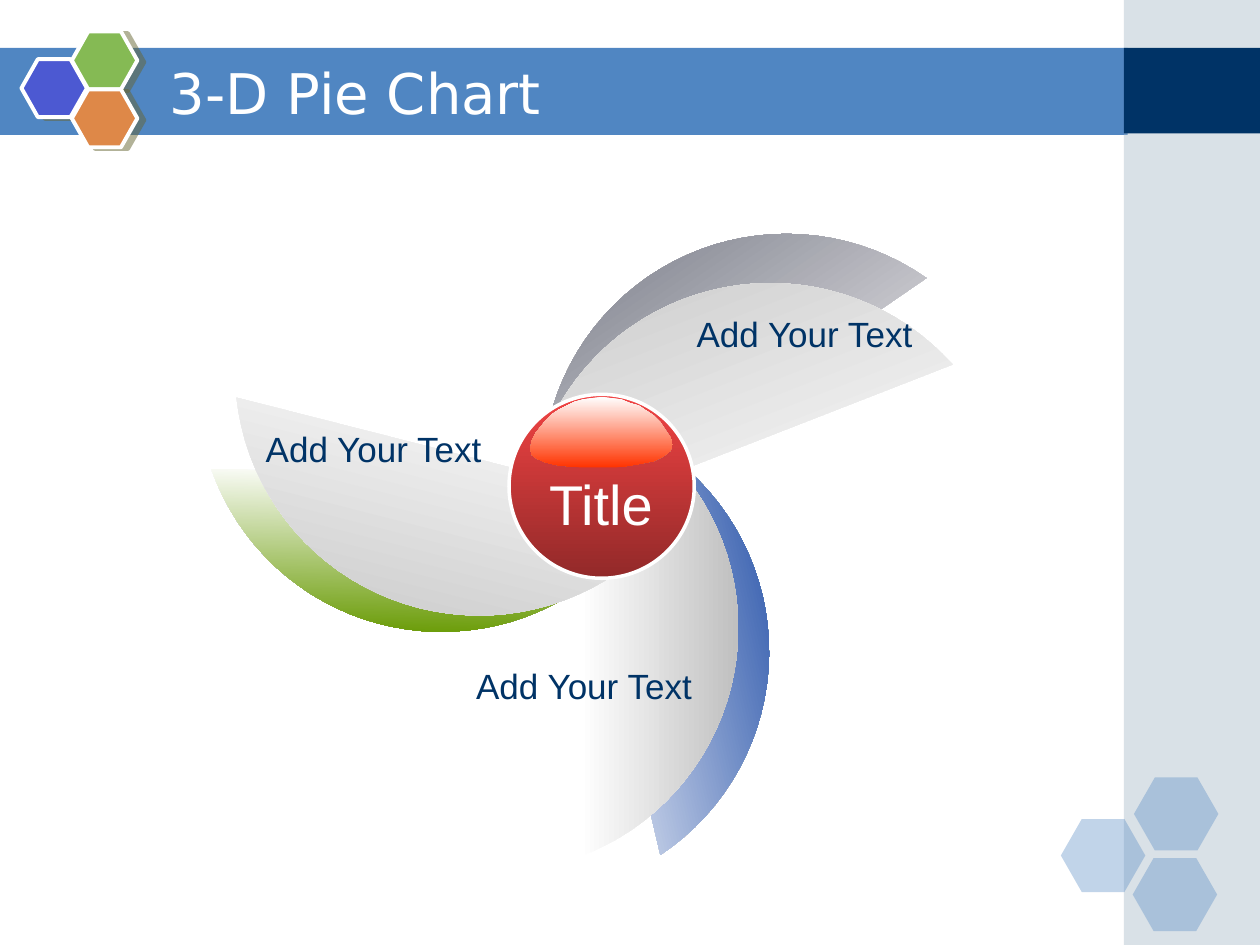
import math
from lxml import etree
from pptx import Presentation
from pptx import util as u
from pptx.dml.color import RGBColor
from pptx.enum import shapes, text
from pptx.oxml.ns import qn

W, H = 10, 7.5
NAVY, BLUE, WHITE = "003366", "5086C2", "FFFFFF"
RECT, HEX, OVAL = (shapes.MSO_SHAPE.RECTANGLE, shapes.MSO_SHAPE.HEXAGON,
                   shapes.MSO_SHAPE.OVAL)
LEFT, CENTER, RIGHT = (text.PP_ALIGN.LEFT, text.PP_ALIGN.CENTER,
                       text.PP_ALIGN.RIGHT)

# Content: left, top, width, height, then colour and opacity
BANDS = [
    (-0.01, 0.38, 8.96, 0.69, BLUE, 100),
    (8.92, 0, 1.08, H, "A0B5C4", 40),
    (8.92, 0.38, 1.08, 0.68, NAVY, 100),
]
CORNER_HEXAGONS = [(8.42, 6.5), (9, 6.17), (8.99, 6.81)]
BADGE_HEXAGONS = [(0.17, 0.47, "4C59D2"), (0.57, 0.25, "85BA54"),
                  (0.57, 0.71, "DE8848")]
# Blades: left and top before rotation, rotation, outer colour
BLADE_W, BLADE_H = 1.26, 3.63
BLADES = [
    (4.81, 3.06, 346.8, "003399"),
    (2.85, 2.57, 91, "669900"),
    (4.87, 0.9, 235.5, "565868"),
    (4.6, 3.17, 0, "C0C0C0"),
    (2.85, 2.4, 104.3, "C0C0C0"),
    (5.01, 1.15, 248.7, "C0C0C0"),
]
GLOSS = [
    (5.32, 3.47), (5.34, 3.53), (5.32, 3.58), (5.27, 3.62), (5.19, 3.66),
    (5.09, 3.68), (4.97, 3.7), (4.89, 3.71), (4.61, 3.71), (4.5, 3.7),
    (4.41, 3.69), (4.33, 3.67), (4.26, 3.64), (4.22, 3.61), (4.21, 3.56),
    (4.22, 3.5), (4.25, 3.44), (4.29, 3.39), (4.33, 3.34), (4.38, 3.29),
    (4.44, 3.25), (4.5, 3.22), (4.56, 3.19), (4.63, 3.17), (4.7, 3.16),
    (4.78, 3.15), (4.85, 3.16), (4.93, 3.17), (5, 3.2), (5.07, 3.22),
    (5.13, 3.26), (5.19, 3.3), (5.24, 3.35), (5.28, 3.41),
]
HEADING = ("3-D Pie Chart", 1.25, 0.42, 7.33, 0.62, 32, "DejaVu Sans", WHITE, LEFT)
LABELS = [
    ("Title", 4.25, 3.67, 1.04, 0.64, 32, "Arial", WHITE, CENTER),
    ("Add Your Text", 1.94, 3.34, 1.98, 0.44, 20, "Arial", NAVY, RIGHT),
    ("Add Your Text", 5.43, 2.43, 1.98, 0.44, 20, "Arial", NAVY, LEFT),
    ("Add Your Text", 3.61, 5.22, 1.98, 0.44, 20, "Arial", NAVY, RIGHT),
]

prs = Presentation()
prs.slide_width, prs.slide_height = u.Inches(W), u.Inches(H)
slide = prs.slides.add_slide(prs.slide_layouts[6])


def rgb(value):
    return RGBColor.from_string(value)


def set_alpha(color, percent):
    etree.SubElement(color, qn("a:alpha"), val=str(percent * 1000))


def finish(sp, color, alpha=100, line=None):
    sp.shadow.inherit = False
    sp.fill.solid()
    sp.fill.fore_color.rgb = rgb(color)
    if alpha < 100:
        set_alpha(sp._element.spPr.find(".//" + qn("a:srgbClr")), alpha)
    if line:
        sp.line.color.rgb, sp.line.width = rgb(WHITE), u.Pt(line)
    else:
        sp.line.fill.background()
    return sp


def gradient(sp, start, end, angle):
    sp.fill.gradient()
    sp.fill.gradient_angle = angle
    for stop, color, pos in zip(sp.fill.gradient_stops, (start, end), (0, 1)):
        stop.color.rgb, stop.position = rgb(color), pos


def add_shape(kind, *box):
    return slide.shapes.add_shape(kind, *map(u.Inches, box))


def add_outline(points):
    pts = [(u.Inches(x), u.Inches(y)) for x, y in points]
    fb = slide.shapes.build_freeform(*pts[0])
    fb.add_line_segments(pts[1:], close=True)
    return fb.convert_to_shape()


def add_hexagon(x, y, w, h, *style, adj=0.286):
    sp = add_shape(HEX, x, y, w, h)
    sp.adjustments[0] = adj
    return finish(sp, *style)


def add_drop_shadow(sp):
    effects = sp._element.spPr.find(qn("a:effectLst"))
    shadow = etree.SubElement(effects, qn("a:outerShdw"), blurRad="0",
                              dist=str(u.Pt(4.1)), dir=str(14 * 60000),
                              algn="ctr", rotWithShape="0")
    set_alpha(etree.SubElement(shadow, qn("a:srgbClr"), val="666633"), 50)


def add_label(words, x, y, w, h, size, font, color, align, wrap=False):
    box = slide.shapes.add_textbox(*map(u.Inches, (x, y, w, h)))
    tf = box.text_frame
    tf.word_wrap, tf.vertical_anchor = wrap, text.MSO_ANCHOR.MIDDLE
    p = tf.paragraphs[0]
    p.alignment = align
    r = p.add_run()
    r.text = words
    for key, value in {"size": u.Pt(size), "name": font}.items():
        setattr(r.font, key, value)
    r.font.color.rgb = rgb(color)


def blade_points(x, y, steps=40):
    """Circular segment whose chord is the left side of the blade's box."""
    half = BLADE_H / 2
    radius = (half ** 2 + BLADE_W ** 2) / (2 * BLADE_W)
    cx, cy = x + BLADE_W - radius, y + half
    sweep = math.asin(half / radius)
    angles = [sweep * (2 * i / steps - 1) for i in range(steps + 1)]
    return [(cx + radius * math.cos(a), cy + radius * math.sin(a)) for a in angles]


# Bands and decorative hexagons
for *box, color, alpha in BANDS:
    finish(add_shape(RECT, *box), color, alpha)
for x, y in CORNER_HEXAGONS:
    add_hexagon(x, y, 0.67, 0.58, BLUE, 35)
for x, y, color in BADGE_HEXAGONS:
    add_drop_shadow(add_hexagon(x, y, 0.52, 0.46, color, 100, 2.25, adj=0.283))

# Heading
add_label(*HEADING, wrap=True)

# Pinwheel blades
for x, y, turn, color in BLADES:
    sp = finish(add_outline(blade_points(x, y)), color)
    gradient(sp, WHITE, color, 0)
    sp.rotation = turn

# Central ball with its gloss
ball = finish(add_shape(OVAL, 4.04, 3.13, 1.47, 1.46), WHITE, line=2)
gradient(ball, "F14343", "922929", 270)
gradient(finish(add_outline(GLOSS), WHITE), WHITE, "FF3300", 270)

# Labels
for label in LABELS:
    add_label(*label)

prs.save("out.pptx")
